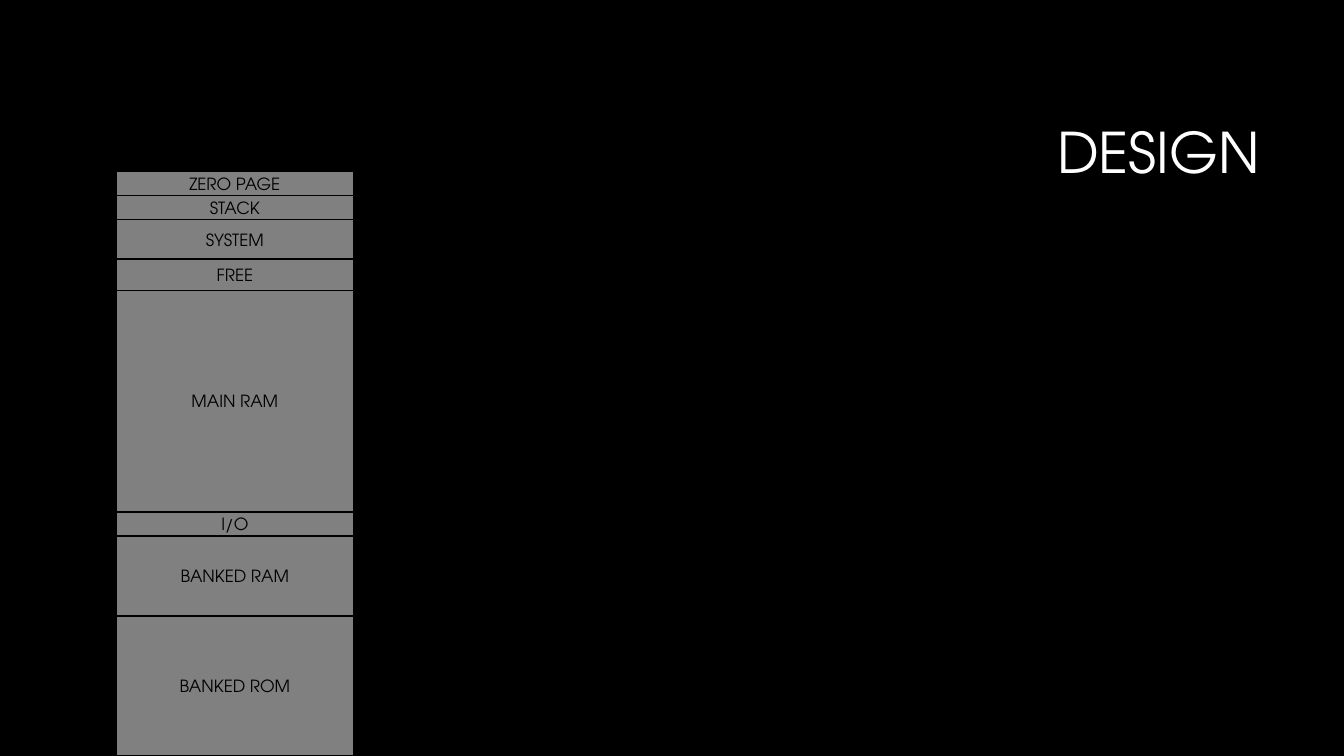
from dataclasses import dataclass

from pptx import Presentation
from pptx.dml.color import RGBColor as Rgb
from pptx.enum.shapes import MSO_SHAPE as Shape
from pptx.enum.text import MSO_ANCHOR as Anchor, PP_ALIGN as Align
from pptx.util import Inches, Pt


@dataclass(frozen=True)
class Theme:
    font: str = "TeX Gyre Adventor"
    background: Rgb = Rgb(0x00, 0x00, 0x00)
    heading: Rgb = Rgb(0xFF, 0xFF, 0xFF)
    block: Rgb = Rgb(0x80, 0x80, 0x80)
    ink: Rgb = Rgb(0x00, 0x00, 0x00)
    heading_size: int = 40
    label_size: int = 12
    border: int = 1


THEME = Theme()

MEMORY_MAP = [
    ("ZERO PAGE", 0.24),
    ("STACK", 0.24),
    ("SYSTEM", 0.39),
    ("FREE", 0.31),
    ("MAIN RAM", 2.2),
    ("I/O", 0.24),
    ("BANKED RAM", 0.79),
    ("BANKED ROM", 1.39),
]


def write(frame, words, size, color, align):
    frame.word_wrap = True
    frame.vertical_anchor = Anchor.MIDDLE
    paragraph = frame.paragraphs[0]
    paragraph.alignment = align
    run = paragraph.add_run()
    run.text = words
    run.font.name = THEME.font
    run.font.size = Pt(size)
    run.font.color.rgb = color
    return paragraph


def add_heading(slide, box, words):
    heading = slide.shapes.add_textbox(*map(Inches, box))
    line = write(heading.text_frame, words, THEME.heading_size, THEME.heading, Align.RIGHT)
    line.line_spacing = 0.9


def add_memory_map(slide, box, regions):
    left, top, width, height = box
    total = sum(share for _, share in regions)
    for label, share in regions:
        depth = height * share / total
        region = slide.shapes.add_shape(
            Shape.RECTANGLE, Inches(left), Inches(top), Inches(width), Inches(depth)
        )
        region.shadow.inherit = False
        region.fill.solid()
        region.fill.fore_color.rgb = THEME.block
        region.line.color.rgb = THEME.ink
        region.line.width = Pt(THEME.border)
        write(region.text_frame, label, THEME.label_size, THEME.ink, Align.CENTER)
        top += depth


def main():
    deck = Presentation()
    deck.slide_width, deck.slide_height = Inches(13.33), Inches(7.5)
    slide = deck.slides.add_slide(deck.slide_layouts[6])
    slide.background.fill.solid()
    slide.background.fill.fore_color.rgb = THEME.background
    add_heading(slide, (3.17, 0.84, 9.42, 1.41), "DESIGN")
    add_memory_map(slide, (1.15, 1.7, 2.36, 5.8), MEMORY_MAP)
    deck.save("out.pptx")


if __name__ == "__main__":
    main()
